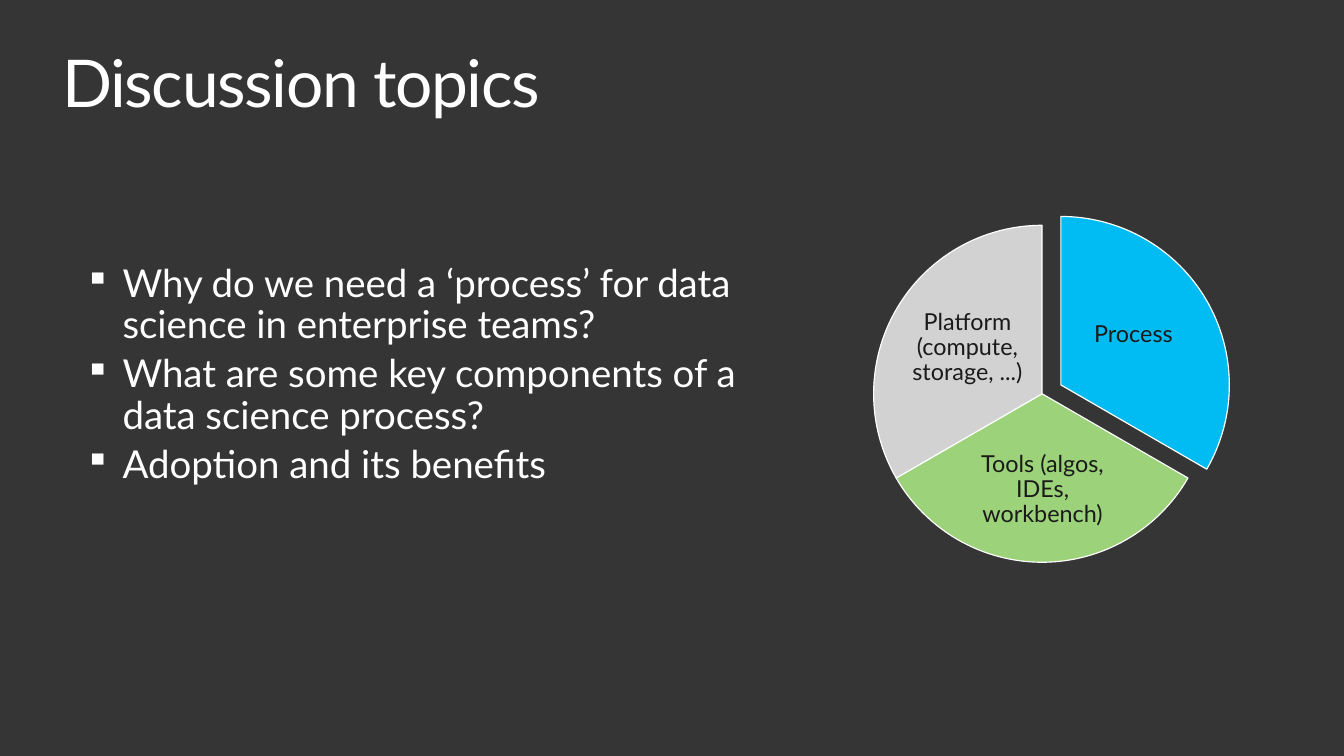
from dataclasses import dataclass

from lxml import etree
from pptx import Presentation
from pptx.dml.color import RGBColor
from pptx.enum import shapes, text
from pptx.oxml import ns
from pptx.util import Inches, Pt


@dataclass(frozen=True)
class Theme:
    font: str = "Lato"
    background: str = "353535"
    light: str = "FFFFFF"
    dark: str = "1A1A1A"
    blue: str = "00BCF2"
    green: str = "9CD279"
    grey: str = "D2D2D2"
    title_size: int = 48
    topic_size: int = 28
    label_size: int = 17
    outline: float = 0.85
    line_spacing: float = 0.9


@dataclass(frozen=True)
class Box:
    left: float
    top: float
    width: float
    height: float

    def lengths(self) -> tuple:
        return tuple(Inches(n) for n in (self.left, self.top, self.width, self.height))


@dataclass(frozen=True)
class Slice:
    label: str
    color: str
    start: int  # degrees, clockwise from three o'clock
    label_box: Box
    shift: tuple = (0, 0)


THEME = Theme()
SWEEP = 120
PIE = Box(8.84, 2.28, 3.41, 3.41)

TOPICS = (
    "Why do we need a ‘process’ for data science in enterprise teams?",
    "What are some key components of a data science process?",
    "Adoption and its benefits",
)
SLICES = (
    Slice("Process", THEME.blue, 270, Box(10.89, 2.82, 1.16, 1.14), (0.19, -0.09)),
    Slice("Tools (algos, IDEs, workbench)", THEME.green, 30, Box(9.78, 4.43, 1.54, 1.05)),
    Slice("Platform (compute, storage, ...)", THEME.grey, 150, Box(9.21, 2.95, 1.16, 1.14)),
)


def set_frame(frame, inset_x: float, inset_y: float, anchor) -> None:
    frame.word_wrap = True
    frame.auto_size = text.MSO_AUTO_SIZE.NONE
    frame.vertical_anchor = anchor
    frame.margin_left = frame.margin_right = Inches(inset_x)
    frame.margin_top = frame.margin_bottom = Inches(inset_y)


def set_paragraph(paragraph, size: int, color: str, align=text.PP_ALIGN.LEFT) -> None:
    paragraph.alignment = align
    paragraph.line_spacing = THEME.line_spacing
    paragraph.font.name = THEME.font
    paragraph.font.size = Pt(size)
    paragraph.font.color.rgb = RGBColor.from_string(color)


def add_bullet(paragraph) -> None:
    properties = paragraph._p.get_or_add_pPr()
    indent = Inches(0.38)
    properties.set("marL", str(indent))
    properties.set("indent", str(-indent))
    etree.SubElement(properties, ns.qn("a:buSzPct")).set("val", "90000")
    etree.SubElement(properties, ns.qn("a:buChar")).set("char", "▪")


def add_title(slide, title_text: str) -> None:
    title = slide.shapes.title
    title.left, title.top, title.width, title.height = Box(0.47, 0.41, 13, 1).lengths()
    set_frame(title.text_frame, 0.16, 0.1, text.MSO_ANCHOR.TOP)
    title.text_frame.text = title_text
    heading = title.text_frame.paragraphs[0]
    set_paragraph(heading, THEME.title_size, THEME.light)
    heading.runs[0]._r.get_or_add_rPr().set("spc", "-100")


def add_topics(slide, topics: tuple) -> None:
    frame = slide.shapes.add_textbox(*Box(0.7, 2.57, 7.08, 3.03).lengths()).text_frame
    set_frame(frame, 0.16, 0.1, text.MSO_ANCHOR.TOP)
    for index, topic_text in enumerate(topics):
        topic = frame.add_paragraph() if index else frame.paragraphs[0]
        topic.text = topic_text
        add_bullet(topic)
        set_paragraph(topic, THEME.topic_size, THEME.light)
        if index:
            topic.space_before = Pt(5.6)


def add_slice(group, part: Slice) -> None:
    # Wedge
    dx, dy = part.shift
    place = Box(PIE.left + dx, PIE.top + dy, PIE.width, PIE.height)
    wedge = group.shapes.add_shape(shapes.MSO_SHAPE.PIE, *place.lengths())
    wedge.shadow.inherit = False
    for index, angle in enumerate((part.start, (part.start + SWEEP) % 360)):
        wedge.adjustments[index] = angle * 0.6
    wedge.fill.solid()
    wedge.fill.fore_color.rgb = RGBColor.from_string(part.color)
    wedge.line.color.rgb = RGBColor.from_string(THEME.light)
    wedge.line.width = Pt(THEME.outline)

    # Label
    frame = group.shapes.add_textbox(*part.label_box.lengths()).text_frame
    set_frame(frame, 0.02, 0.02, text.MSO_ANCHOR.MIDDLE)
    frame.text = part.label
    set_paragraph(frame.paragraphs[0], THEME.label_size, THEME.dark, text.PP_ALIGN.CENTER)


def main() -> None:
    deck = Presentation()
    deck.slide_width, deck.slide_height = Inches(13.6), Inches(7.65)
    slide = deck.slides.add_slide(deck.slide_layouts[5])
    slide.background.fill.solid()
    slide.background.fill.fore_color.rgb = RGBColor.from_string(THEME.background)

    # Title and discussion points
    add_title(slide, "Discussion topics")
    add_topics(slide, TOPICS)

    # Pie of process components
    pie = slide.shapes.add_group_shape()
    for part in SLICES:
        add_slice(pie, part)

    deck.save("out.pptx")


if __name__ == "__main__":
    main()
